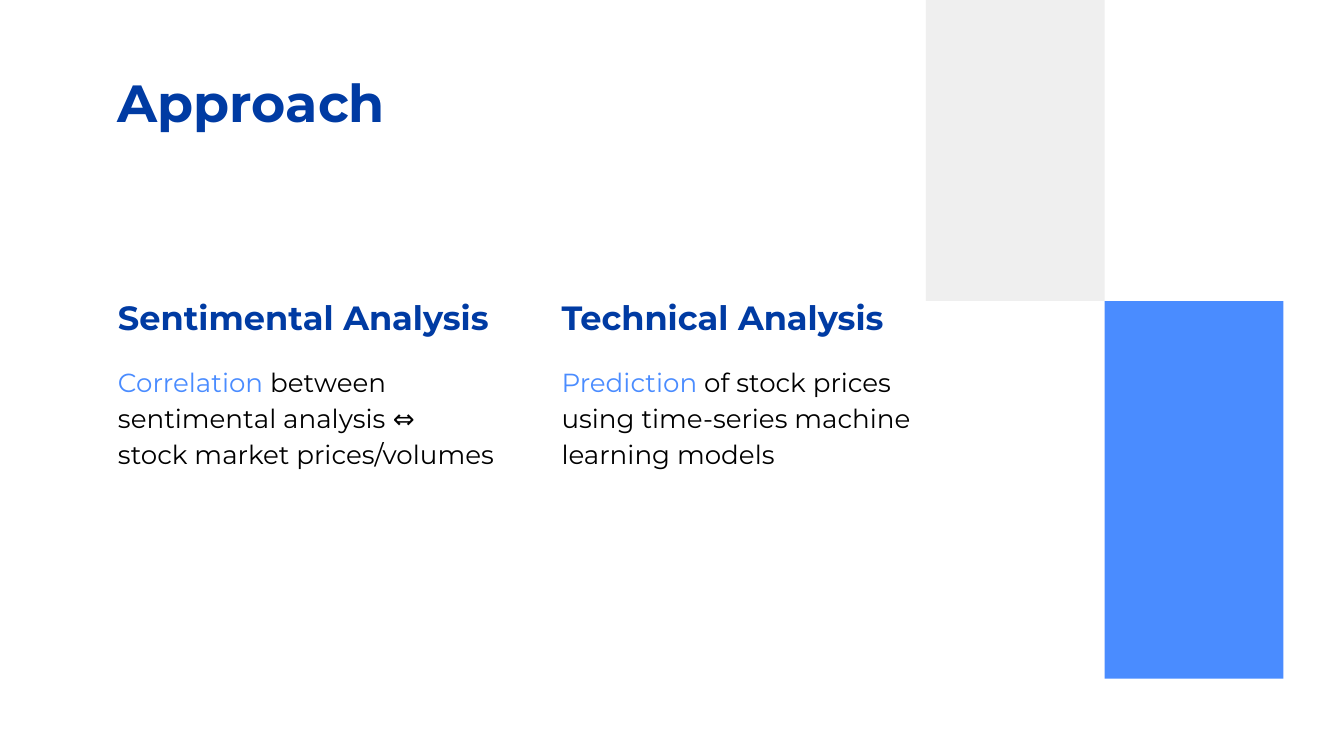
from pptx import Presentation
from pptx.dml.color import RGBColor
from pptx.enum.shapes import MSO_SHAPE
from pptx.enum.text import MSO_ANCHOR
from pptx.util import Inches, Pt

THEME = {
    "font": "Montserrat",
    "navy": RGBColor(0x00, 0x3B, 0xA3),
    "blue": RGBColor(0x4A, 0x8C, 0xFF),
    "grey": RGBColor(0xEF, 0xEF, 0xEF),
    "black": RGBColor(0x00, 0x00, 0x00),
    "title": 28,
    "heading": 18,
    "body": 14,
}

# Content: each paragraph is a list of (text, colour) runs
TITLE = "Approach"
COLUMNS = [
    {
        "heading": "Sentimental Analysis",
        "body": [
            [("Correlation ", "blue"), ("between sentimental analysis ⇔", "black")],
            [("stock market prices/volumes", "black")],
        ],
        "body_width": 3.27,
    },
    {
        "heading": "Technical Analysis",
        "body": [
            [("Prediction ", "blue"),
             ("of stock prices using time-series machine learning models", "black")],
        ],
        "body_width": 3.18,
    },
]

# Layout in inches, on a 16:9 slide
SLIDE_W = 10
SLIDE_H = SLIDE_W * 9 / 16
LEFT, COLUMN_STEP, COLUMN_W = 0.78, 3.3, 3.27
HEADING_TOP, BODY_TOP = 2.11, 2.59
BLOCK_LEFT, BLOCK_W, BLOCK_SPLIT, BLOCK_BOTTOM = 6.89, 1.33, 2.24, 5.05


def add_text(s, box, paragraphs, size, bold=False, spacing=None):
    tf = s.shapes.add_textbox(*map(Inches, box)).text_frame
    tf.word_wrap = True
    tf.vertical_anchor = MSO_ANCHOR.TOP
    tf.margin_left = tf.margin_right = tf.margin_top = tf.margin_bottom = Inches(0.1)
    for i, runs in enumerate(paragraphs):
        p = tf.add_paragraph() if i else tf.paragraphs[0]
        if spacing:
            p.line_spacing = spacing
        for text, color in runs:
            r = p.add_run()
            r.text = text
            r.font.name = THEME["font"]
            r.font.size = Pt(THEME[size])
            r.font.bold = bold
            r.font.color.rgb = THEME[color]


def add_block(s, box, color):
    sp = s.shapes.add_shape(MSO_SHAPE.RECTANGLE, *map(Inches, box))
    sp.shadow.inherit = False
    sp.fill.solid()
    sp.fill.fore_color.rgb = THEME[color]
    sp.line.fill.background()


prs = Presentation()
prs.slide_width, prs.slide_height = Inches(SLIDE_W), Inches(SLIDE_H)
s = prs.slides.add_slide(prs.slide_layouts[6])

# Title
add_text(s, (LEFT, 0.42, 8.44, 0.63), [[(TITLE, "navy")]], "title", bold=True)

# Two columns: heading over body
for i, col in enumerate(COLUMNS):
    x = LEFT + i * COLUMN_STEP
    add_text(s, (x, BODY_TOP, col["body_width"], 1.4), col["body"], "body", spacing=1.15)
    add_text(s, (x, HEADING_TOP, COLUMN_W, 0.51),
             [[(col["heading"], "navy")]], "heading", bold=True)

# Decorative blocks meeting at a corner
add_block(s, (BLOCK_LEFT + BLOCK_W, BLOCK_SPLIT, BLOCK_W, BLOCK_BOTTOM - BLOCK_SPLIT), "blue")
add_block(s, (BLOCK_LEFT, 0, BLOCK_W, BLOCK_SPLIT), "grey")

prs.save("out.pptx")
